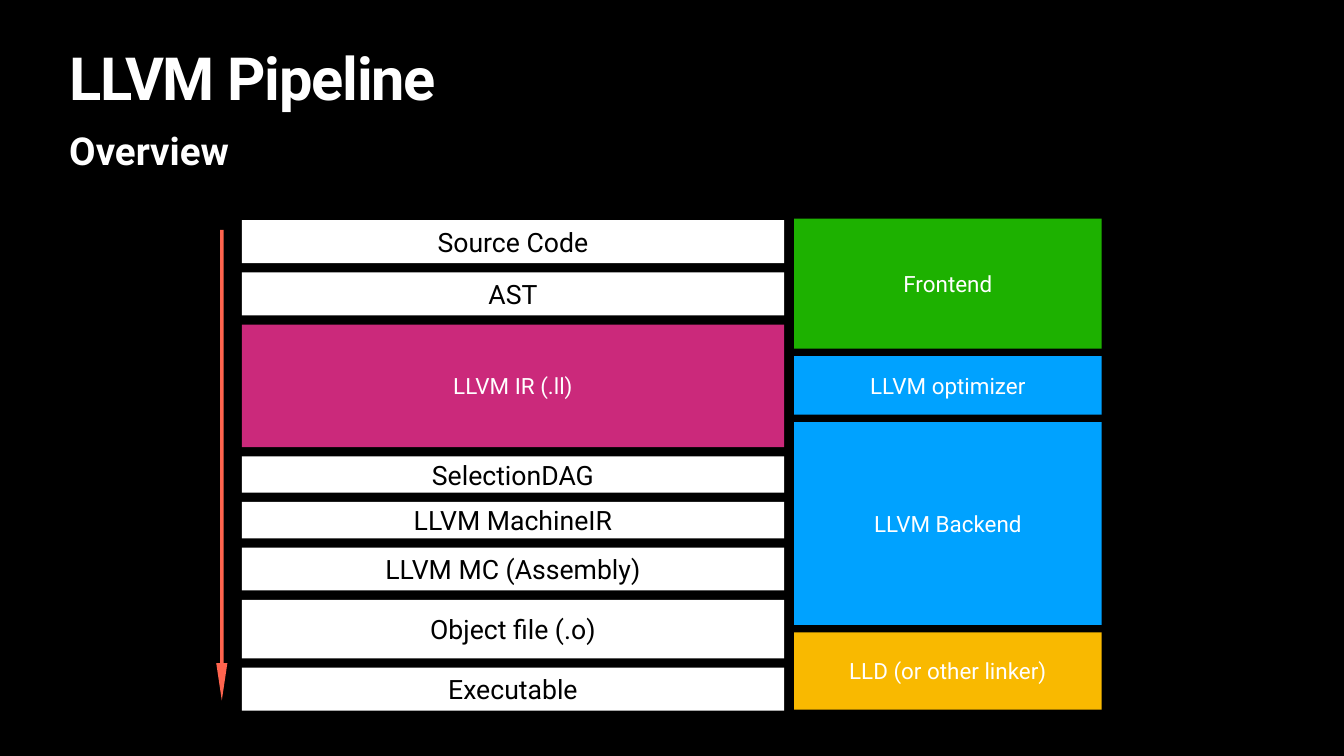
from pptx import Presentation
from pptx.dml.color import RGBColor
from pptx.enum.shapes import MSO_SHAPE
from pptx.enum.text import MSO_ANCHOR, PP_ALIGN
from pptx.util import Cm, Pt

BLACK, WHITE = "000000", "FFFFFF"
PINK, GREEN, BLUE, AMBER, CORAL = "CB297B", "1DB100", "00A2FF", "F9B900", "FF644E"

# label, height in cm, fill, text colour, text size
STAGES = [
    ("Source Code", 2.16, WHITE, BLACK, 38),
    ("AST", 2.16, WHITE, BLACK, 38),
    ("LLVM IR (.ll)", 6.17, PINK, WHITE, 32),
    ("SelectionDAG", 1.83, WHITE, BLACK, 38),
    ("LLVM MachineIR", 1.83, WHITE, BLACK, 38),
    ("LLVM MC (Assembly)", 2.16, WHITE, BLACK, 38),
    ("Object file (.o)", 2.95, WHITE, BLACK, 38),
    ("Executable", 2.16, WHITE, BLACK, 38),
]
TOOLS = [
    ("Frontend", 6.55, GREEN, WHITE, 32),
    ("LLVM optimizer", 2.95, BLUE, WHITE, 32),
    ("LLVM Backend", 10.21, BLUE, WHITE, 32),
    ("LLD (or other linker)", 3.89, AMBER, WHITE, 32),
]


def paint(fill, color):
    fill.solid()
    fill.fore_color.rgb = RGBColor.from_string(color)


def write(frame, text, size, color, bold=False):
    """Put one styled run in the frame and return it."""
    frame.word_wrap = True
    frame.margin_left = frame.margin_right = Cm(0.14)
    frame.margin_top = frame.margin_bottom = Cm(0.14)
    run = frame.paragraphs[0].add_run()
    run.text = text
    run.font.name = "Roboto"
    run.font.size = Pt(size)
    run.font.bold = bold
    paint(run.font.fill, color)
    return run


def add_block(slide, kind, left, top, width, height, color):
    shape = slide.shapes.add_shape(kind, Cm(left), Cm(top), Cm(width), Cm(height))
    shape.shadow.inherit = False
    shape.line.fill.background()
    paint(shape.fill, color)
    return shape


def add_heading(slide, left, top, width):
    title = slide.shapes.add_textbox(Cm(left), Cm(top), Cm(width), Cm(3.99))
    run = write(title.text_frame, "LLVM Pipeline", 85, WHITE, True)
    run.font._element.set("spc", "-170")
    title.text_frame.paragraphs[0].line_spacing = 0.8
    sub = slide.shapes.add_textbox(Cm(left), Cm(top + 3.61), Cm(width), Cm(2.59))
    write(sub.text_frame, "Overview", 55, WHITE, True)


def add_stack(slide, left, top, width, gap, rows):
    for label, height, fill, ink, size in rows:
        block = add_block(slide, MSO_SHAPE.RECTANGLE, left, top, width, height, fill)
        frame = block.text_frame
        write(frame, label, size, ink)
        frame.vertical_anchor = MSO_ANCHOR.MIDDLE
        frame.paragraphs[0].alignment = PP_ALIGN.CENTER
        top += height + gap


def add_flow(slide, left, top, width, height):
    arrow = add_block(slide, MSO_SHAPE.DOWN_ARROW, left, top, width, height, CORAL)
    arrow.adjustments[0] = 0.32
    arrow.adjustments[1] = 3.35


def main():
    deck = Presentation()
    deck.slide_width, deck.slide_height = Cm(67.74), Cm(38.1)
    slide = deck.slides.add_slide(deck.slide_layouts[6])
    paint(slide.background.fill, BLACK)
    add_heading(slide, 3.35, 2.64, 61.04)
    add_stack(slide, 12.19, 11.1, 27.33, 0.47, STAGES)
    add_stack(slide, 40.03, 11.02, 15.49, 0.38, TOOLS)
    add_flow(slide, 10.9, 11.58, 0.56, 23.72)
    deck.save("out.pptx")


if __name__ == "__main__":
    main()
